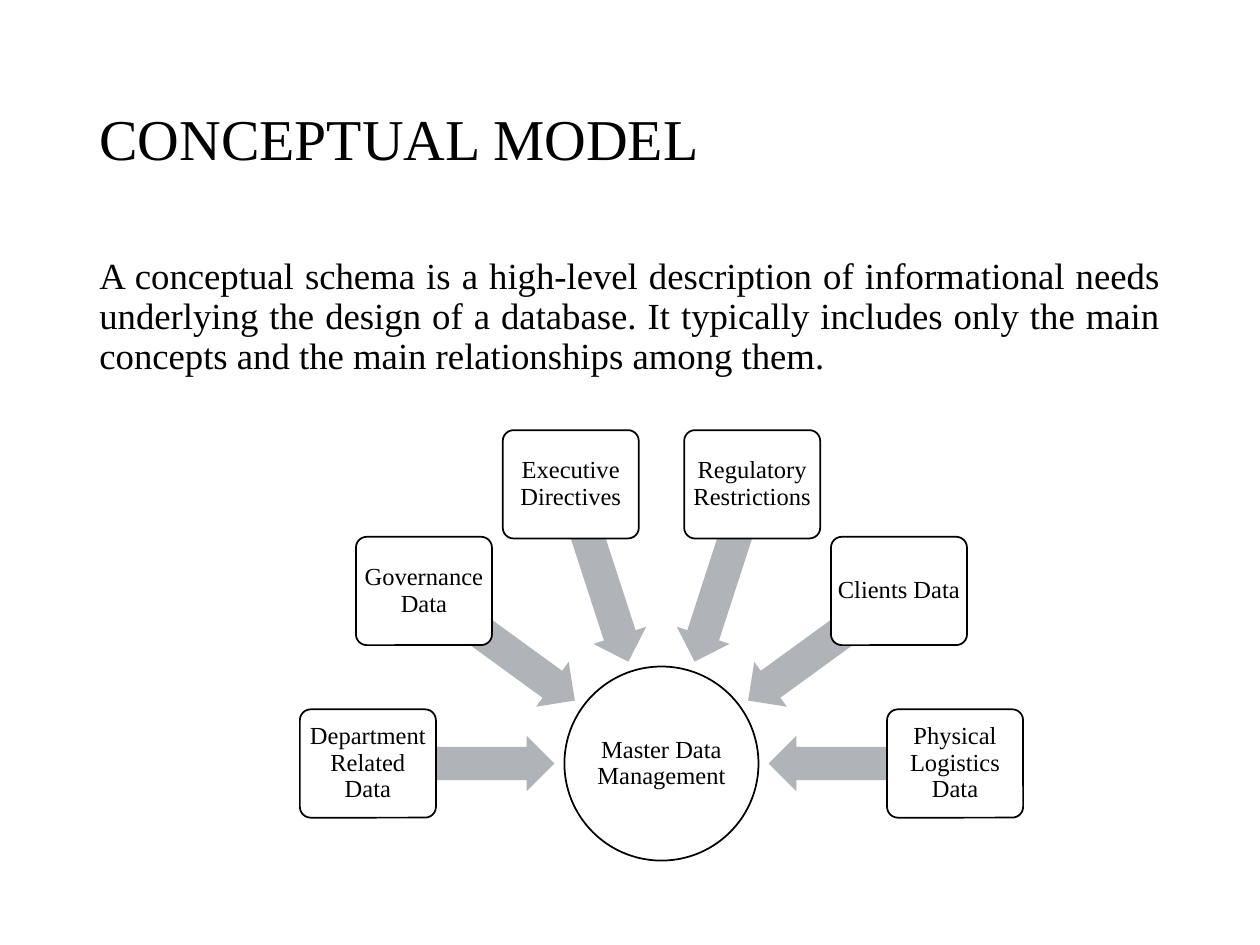
import dataclasses
import math

import pptx
import pptx.dml.color
import pptx.enum.shapes
import pptx.enum.text
import pptx.util

Inches = pptx.util.Inches
Pt = pptx.util.Pt
Kind = pptx.enum.shapes.MSO_SHAPE
Align = pptx.enum.text.PP_ALIGN
Anchor = pptx.enum.text.MSO_ANCHOR


@dataclasses.dataclass(frozen=True)
class Theme:
    font: str = "Times New Roman"
    ink: str = "000000"
    paper: str = "FFFFFF"
    arrow: str = "B0B4B9"
    title: float = 33
    body: float = 21
    label: float = 14
    line: float = 1


@dataclasses.dataclass(frozen=True)
class Source:
    label: str
    angle: int  # clockwise from the right of the hub


THEME = Theme()

# Hub position, and the distances of arrows and boxes from it
HUB_X, HUB_Y, HUB_SIZE = 5.25, 6.06, 1.54
ARROW_R, BOX_R = 1.59, 2.33
ARROW_W, ARROW_H = 1.48, 0.44
BOX_W, BOX_H = 1.08, 0.86

LABELS = [
    "Department Related Data",
    "Governance Data",
    "Executive Directives",
    "Regulatory Restrictions",
    "Clients Data",
    "Physical Logistics Data",
]
SOURCES = [Source(label, 180 + 36 * i) for i, label in enumerate(LABELS)]


def color(code: str) -> pptx.dml.color.RGBColor:
    return pptx.dml.color.RGBColor.from_string(code)


def write(frame, text: str, size: float, align, anchor, before: float = 0) -> None:
    frame.word_wrap = True
    frame.vertical_anchor = anchor
    para = frame.paragraphs[0]
    para.alignment = align
    para.line_spacing = 0.9
    para.space_before = Pt(before)
    run = para.add_run()
    run.text = text
    run.font.name = THEME.font
    run.font.size = Pt(size)
    run.font.color.rgb = color(THEME.ink)


def add_text(slide, top: float, height: float, *style) -> None:
    box = slide.shapes.add_textbox(
        Inches(0.69), Inches(top), Inches(8.62), Inches(height))
    write(box.text_frame, *style)


def add_shape(slide, kind, x: float, y: float, w: float, h: float, fill: str):
    """Place a flat shape centred on x, y."""
    shape = slide.shapes.add_shape(
        kind, Inches(x - w / 2), Inches(y - h / 2), Inches(w), Inches(h))
    shape.shadow.inherit = False
    shape.fill.solid()
    shape.fill.fore_color.rgb = color(fill)
    return shape


def add_node(slide, kind, x: float, y: float, w: float, h: float,
             label: str, inset: float):
    node = add_shape(slide, kind, x, y, w, h, THEME.paper)
    node.line.color.rgb = color(THEME.ink)
    node.line.width = Pt(THEME.line)
    frame = node.text_frame
    frame.margin_left = frame.margin_right = Inches(inset)
    frame.margin_top = frame.margin_bottom = Inches(inset)
    write(frame, label, THEME.label, Align.CENTER, Anchor.MIDDLE)
    return node


def orbit(angle: int, radius: float) -> tuple[float, float]:
    turn = math.radians(angle)
    return HUB_X + radius * math.cos(turn), HUB_Y + radius * math.sin(turn)


def add_source(slide, source: Source) -> None:
    arrow = add_shape(slide, Kind.LEFT_ARROW, *orbit(source.angle, ARROW_R),
                      ARROW_W, ARROW_H, THEME.arrow)
    arrow.line.fill.background()
    arrow.adjustments[0] = 0.6
    arrow.adjustments[1] = 0.5
    arrow.rotation = source.angle % 360
    box = add_node(slide, Kind.ROUNDED_RECTANGLE, *orbit(source.angle, BOX_R),
                   BOX_W, BOX_H, source.label, 0.03)
    box.adjustments[0] = 0.1


def main() -> None:
    deck = pptx.Presentation()
    deck.slide_width, deck.slide_height = Inches(10), Inches(7.5)
    slide = deck.slides.add_slide(deck.slide_layouts[6])

    # Heading and description
    add_text(slide, 0.4, 1.45, "CONCEPTUAL MODEL", THEME.title,
             Align.LEFT, Anchor.MIDDLE)
    add_text(slide, 2, 4.76,
             "A conceptual schema is a high-level description of informational "
             "needs underlying the design of a database. It typically includes "
             "only the main concepts and the main relationships among them.",
             THEME.body, Align.JUSTIFY, Anchor.TOP, 7.5)

    # Hub with its ring of sources
    add_node(slide, Kind.OVAL, HUB_X, HUB_Y, HUB_SIZE, HUB_SIZE,
             "Master Data Management", 0.01)
    for source in SOURCES:
        add_source(slide, source)

    deck.save("out.pptx")


if __name__ == "__main__":
    main()
